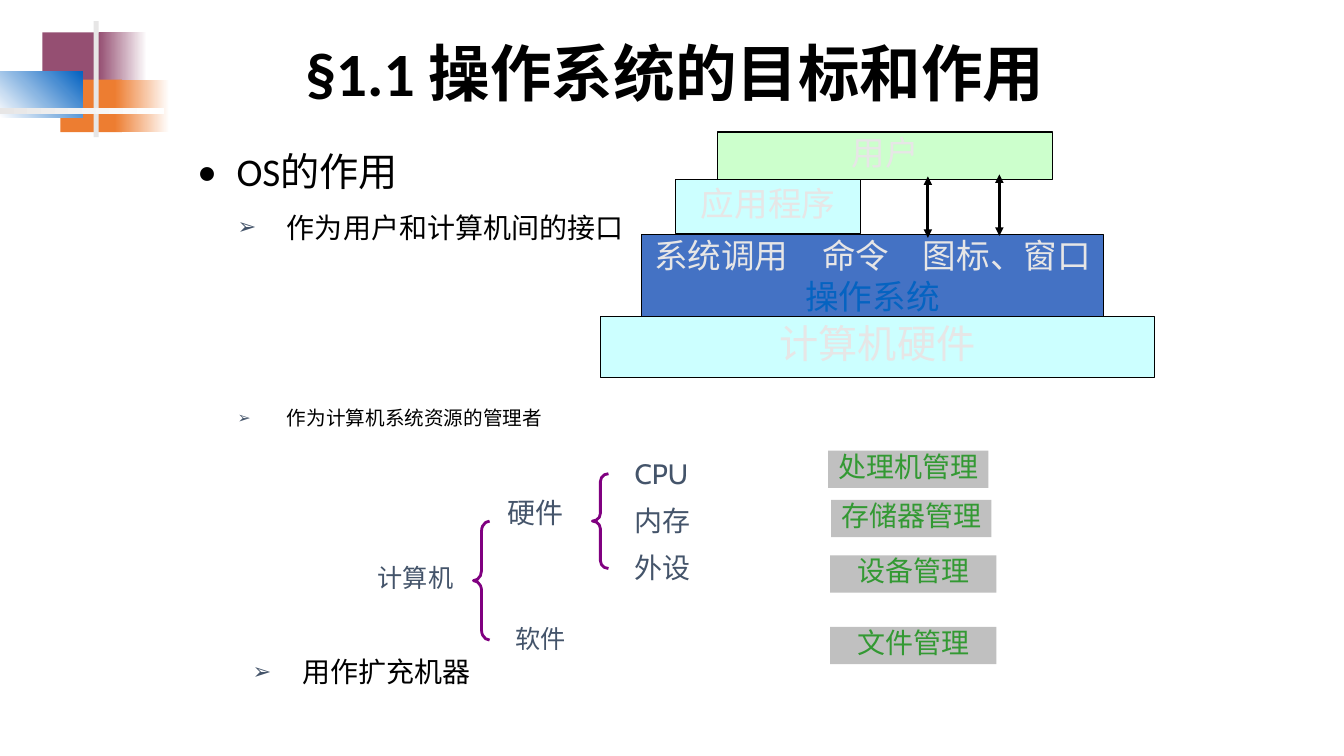
"""Builds the slide on the goals and roles of an operating system, on a grid of 0.1-inch cells."""
from dataclasses import dataclass
from typing import Optional

import lxml.etree
import pptx
import pptx.dml.color
import pptx.enum.shapes
import pptx.enum.text
import pptx.oxml.ns
import pptx.util

COLUMNS, ROWS = 133.4, 75
BLACK, SLATE, PALE, BLUE = "000000", "44546A", "E7E6E6", "0563C1"
GREEN, GREY, PURPLE, AQUA = "339933", "C0C0C0", "800080", "CCFFFF"
WHITE, PLUM, ORANGE = "FFFFFF", "954F72", "ED7D31"
LEFT, CENTER = pptx.enum.text.PP_ALIGN.LEFT, pptx.enum.text.PP_ALIGN.CENTER
TOP, MIDDLE = pptx.enum.text.MSO_ANCHOR.TOP, pptx.enum.text.MSO_ANCHOR.MIDDLE
RECTANGLE = pptx.enum.shapes.MSO_SHAPE.RECTANGLE


@dataclass(frozen=True)
class Area:
    """Place and size in grid columns and rows."""
    column: float
    row: float
    width: float
    height: float


@dataclass(frozen=True)
class Style:
    """Look of a text."""
    size: float
    color: str
    font: str = "Cabin"
    spacing: float = 0.8
    align: pptx.enum.text.PP_ALIGN = LEFT
    anchor: pptx.enum.text.MSO_ANCHOR = TOP
    wrap: bool = False
    bold: bool = False


@dataclass(frozen=True)
class Bullet:
    """Mark of a list item, with its hanging indent in columns."""
    mark: str
    color: str
    percent: int
    indent: float


@dataclass(frozen=True)
class Item:
    """List item."""
    text: str
    area: Area
    style: Style
    bullet: Bullet


@dataclass(frozen=True)
class Box:
    """Filled rectangle, with two fill colours for a gradient."""
    area: Area
    fill: tuple[str, ...]
    text: str = ""
    style: Optional[Style] = None
    line: Optional[str] = None
    angle: float = 0


@dataclass(frozen=True)
class Label:
    """Node of the resource tree."""
    text: str
    area: Area
    style: Style


@dataclass(frozen=True)
class Brace:
    """Left brace of the resource tree."""
    area: Area
    curl: float


def cells(count: float) -> int:
    """Turn grid cells into a length."""
    return pptx.util.Inches(count / 10)


def place(area: Area) -> tuple[int, int, int, int]:
    """Turn an area into left, top, width and height."""
    return cells(area.column), cells(area.row), cells(area.width), cells(area.height)


def rgb(color: str) -> pptx.dml.color.RGBColor:
    """Turn a hex string into a colour."""
    return pptx.dml.color.RGBColor.from_string(color)


def add_element(parent, tag: str, **attributes: str):
    """Append a drawing element."""
    element = lxml.etree.SubElement(parent, pptx.oxml.ns.qn(tag))
    for name, value in attributes.items():
        element.set(name, value)
    return element


def write(frame, text: str, style: Style, bullet: Optional[Bullet] = None) -> None:
    """Fill and format a text frame."""
    frame.text = text
    frame.word_wrap = style.wrap
    frame.vertical_anchor = style.anchor
    for paragraph in frame.paragraphs:
        paragraph.alignment = style.align
        paragraph.line_spacing = style.spacing
        if bullet:
            properties = paragraph._p.get_or_add_pPr()
            properties.set("marL", str(cells(bullet.indent)))
            properties.set("indent", str(-cells(bullet.indent)))
            tint = add_element(properties, "a:buClr")
            add_element(tint, "a:srgbClr", val=bullet.color)
            add_element(properties, "a:buSzPct", val=str(bullet.percent * 1000))
            add_element(properties, "a:buFont", typeface=style.font)
            add_element(properties, "a:buChar", char=bullet.mark)
        for run in paragraph.runs:
            run.font.size = pptx.util.Pt(style.size)
            run.font.name = style.font
            run.font.bold = style.bold
            run.font.color.rgb = rgb(style.color)


def add_text(slide, text: str, area: Area, style: Style, bullet: Optional[Bullet] = None) -> None:
    """Add a text box."""
    write(slide.shapes.add_textbox(*place(area)).text_frame, text, style, bullet)


def add_box(slide, box: Box):
    """Add a filled rectangle and return it."""
    shape = slide.shapes.add_shape(RECTANGLE, *place(box.area))
    shape.shadow.inherit = False
    if len(box.fill) == 1:
        shape.fill.solid()
        shape.fill.fore_color.rgb = rgb(box.fill[0])
    else:
        shape.fill.gradient()
        shape.fill.gradient_angle = box.angle
        for position, (stop, color) in enumerate(zip(shape.fill.gradient_stops, box.fill)):
            stop.position = position
            stop.color.rgb = rgb(color)
    if box.line:
        shape.line.color.rgb = rgb(box.line)
        shape.line.width = pptx.util.Pt(0.75)
    else:
        shape.line.fill.background()
    if box.style:
        write(shape.text_frame, box.text, box.style)
    return shape


def add_brace(slide, brace: Brace) -> None:
    """Add a left brace."""
    shape = slide.shapes.add_shape(pptx.enum.shapes.MSO_SHAPE.LEFT_BRACE, *place(brace.area))
    shape.shadow.inherit = False
    shape.adjustments[0] = brace.curl
    shape.fill.background()
    shape.line.color.rgb = rgb(PURPLE)
    shape.line.width = pptx.util.Pt(2)


def add_exchange(slide, column: float, row: float, height: float) -> None:
    """Add a vertical arrow with two heads."""
    arrow = slide.shapes.add_connector(pptx.enum.shapes.MSO_CONNECTOR.STRAIGHT, cells(column),
                                       cells(row), cells(column), cells(row + height))
    arrow.line.color.rgb = rgb(BLACK)
    arrow.line.width = pptx.util.Pt(2)
    for end in ("a:headEnd", "a:tailEnd"):
        add_element(arrow.line._get_or_add_ln(), end, type="triangle")
    add_element(arrow._element.spPr, "a:effectLst")


TITLE = Style(44, BLACK, "Calibri", 0.9, anchor=MIDDLE, wrap=True, bold=True)
HEADING = Style(28, BLACK, "Calibri", 0.9, wrap=True)
ROLE = Style(20, BLACK, wrap=True)
SMALL_ROLE = Style(14, BLACK, spacing=1.3, wrap=True)
LAYER = Style(24, PALE, align=CENTER, anchor=MIDDLE)
SYSTEM = Style(24, PALE, "Calibri", 1, CENTER, MIDDLE)
HARDWARE = Style(28, PALE, align=CENTER, anchor=MIDDLE)
NODE, SMALL_NODE = Style(20, SLATE, wrap=True), Style(18, SLATE, wrap=True)
MANAGER = Style(20, GREEN, "Calibri")
CENTERED_MANAGER = Style(20, GREEN, "Calibri", align=CENTER, wrap=True)
DOT, ARROWHEAD = Bullet("•", BLACK, 100, 3.9), Bullet("➢", SLATE, 80, 4.9)

ORNAMENT = [
    Box(Area(4.2, 3.2, 6.4, 5.2), (PLUM,)), Box(Area(9.8, 3.2, 4.8, 5.2), (PLUM, WHITE)),
    Box(Area(6, 7.9, 6.1, 5.2), (ORANGE,)), Box(Area(11.4, 7.9, 5.4, 5.2), (ORANGE, WHITE)),
    Box(Area(0, 7.1, 8.2, 4.6), (WHITE, BLUE), angle=45),
    Box(Area(9.3, 2.1, 0.5, 11.5), (PALE,)), Box(Area(0, 10.7, 16.3, 0.6), (PALE, WHITE)),
]
ITEMS = [
    Item("OS的作用", Area(18.6, 14.7, 43.3, 6.3), HEADING, DOT),
    Item("作为用户和计算机间的接口", Area(22.6, 21, 53.1, 5.5), ROLE, ARROWHEAD),
    Item("作为计算机系统资源的管理者", Area(22.6, 39.1, 32.3, 6.3), SMALL_ROLE, ARROWHEAD),
    Item("用作扩充机器", Area(24.1, 65.1, 39, 6.3), ROLE, ARROWHEAD),
]
LAYERS = [
    Box(Area(71.2, 13.1, 33.3, 4.7), ("CCFFCC",), "用户", LAYER, BLACK),
    Box(Area(67.1, 17.8, 18.3, 5.4), (AQUA,), "应用程序", LAYER, BLACK),
    Box(Area(59.6, 31.4, 55, 6.1), (AQUA,), "计算机硬件", HARDWARE, BLACK),
]
SYSTEM_LAYER = Box(Area(63.7, 23.3, 45.8, 8.1), ("4472C4",),
                   "系统调用　命令　图标、窗口\n操作系统", SYSTEM, BLACK)
NODES = [
    Label("计算机", Area(36.5, 55.9, 11.2, 3.4), SMALL_NODE),
    Label("硬件", Area(49.4, 49.3, 9, 3.7), NODE),
    Label("软件", Area(50.2, 61.9, 9, 3.4), SMALL_NODE),
    *(Label(part, Area(62, 45.4 + 4.7 * index, 9, 3.7), NODE)
      for index, part in enumerate(("CPU", "内存", "外设"))),
]
BRACES = [Brace(Area(47, 51.7, 1.6, 11.8), 0.62), Brace(Area(58.8, 47, 1.6, 9.4), 0.48)]
MANAGERS = [
    Box(Area(82.2, 44.7, 15.9, 3.7), (GREY,), "处理机管理", MANAGER),
    Box(Area(82.5, 49.6, 15.9, 3.7), (GREY,), "存储器管理", MANAGER),
    Box(Area(82.4, 55.1, 16.5, 3.7), (GREY,), "设备管理", CENTERED_MANAGER),
    Box(Area(82.4, 62.2, 16.5, 3.7), (GREY,), "文件管理", CENTERED_MANAGER),
]


def main() -> None:
    """Build and save the slide."""
    deck = pptx.Presentation()
    deck.slide_width, deck.slide_height = cells(COLUMNS), cells(ROWS)
    slide = deck.slides.add_slide(deck.slide_layouts[5])
    title = slide.shapes.title
    title.left, title.top, title.width, title.height = place(Area(29.3, 3.6, 85.2, 7.9))
    write(title.text_frame, "§1.1 操作系统的目标和作用", TITLE)
    title.text_frame.auto_size = pptx.enum.text.MSO_AUTO_SIZE.NONE
    for box in ORNAMENT + LAYERS + MANAGERS:
        add_box(slide, box)
    system = add_box(slide, SYSTEM_LAYER)
    system.text_frame.paragraphs[1].runs[0].font.color.rgb = rgb(BLUE)
    for item in ITEMS:
        add_text(slide, item.text, item.area, item.style, item.bullet)
    add_exchange(slide, 92.1, 17.5, 6.1)
    add_exchange(slide, 99.2, 17.3, 6.1)
    for node in NODES:
        add_text(slide, node.text, node.area, node.style)
    for brace in BRACES:
        add_brace(slide, brace)
    deck.save("out.pptx")


if __name__ == "__main__":
    main()
